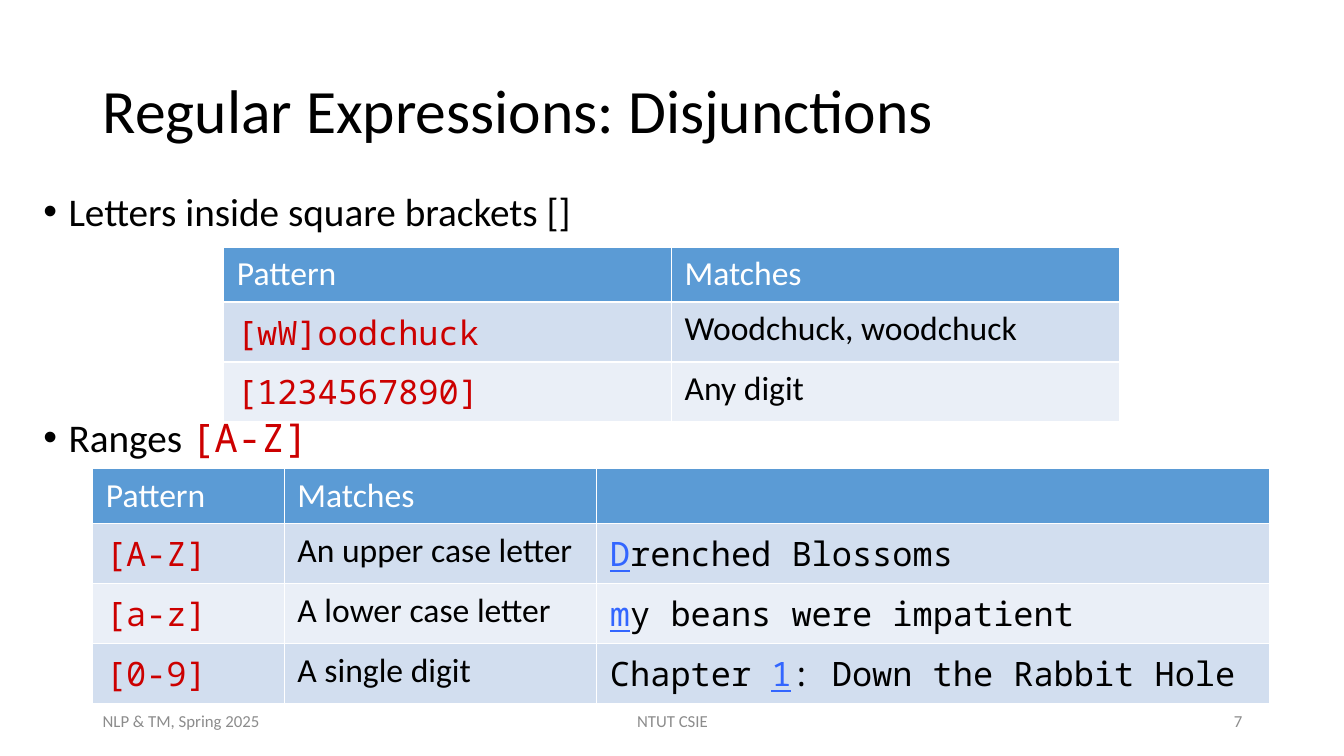
from lxml.etree import SubElement
from pptx import Presentation
from pptx.dml.color import RGBColor
from pptx.enum.text import MSO_ANCHOR, PP_ALIGN
from pptx.oxml.ns import qn
from pptx.util import Inches, Pt

SANS, MONO = "Calibri", "Noto Sans Mono"
BLACK, WHITE, RED, BLUE, GREY = "000000", "FFFFFF", "CC0000", "3366FF", "8C8C8C"
HEAD, BANDS = "5B9BD5", ("D2DEEF", "EAEFF7")


def color(value):
    return RGBColor.from_string(value)


def add_run(para, text, size, font=SANS, tone=BLACK, under=False):
    run = para.add_run()
    run.text = text
    run.font.size = Pt(size)
    run.font.name = font
    run.font.color.rgb = color(tone)
    if under:
        run.font.underline = True


def place(shape, left, top, width, height):
    shape.left, shape.top = Inches(left), Inches(top)
    shape.width, shape.height = Inches(width), Inches(height)


def add_title(slide, text):
    title = slide.shapes.title
    place(title, 0.92, 0.4, 11.5, 1.45)
    title.text_frame.vertical_anchor = MSO_ANCHOR.MIDDLE
    para = title.text_frame.paragraphs[0]
    para.alignment = PP_ALIGN.LEFT
    para.line_spacing = 0.9
    add_run(para, text, 44)


def add_list(slide, items, gap):
    body = slide.placeholders[1]
    place(body, 0.33, 1.86, 11.35, 5.34)
    frame = body.text_frame
    for index, runs in enumerate(items):
        para = frame.add_paragraph() if index else frame.paragraphs[0]
        props = para._p.get_or_add_pPr()
        props.set("marL", str(Inches(0.25)))
        props.set("indent", str(-Inches(0.25)))
        para.line_spacing = 0.9
        para.space_before = Pt(gap if index else 0)
        SubElement(props, qn("a:buFont"), typeface="Arial")
        SubElement(props, qn("a:buChar"), char="•")
        for text, *style in runs:
            add_run(para, text, 28, *style)


def add_edge(cell, side):
    line = SubElement(cell._tc.get_or_add_tcPr(), qn("a:" + side), w=str(Pt(1)))
    fill = SubElement(line, qn("a:solidFill"))
    SubElement(fill, qn("a:srgbClr"), val=WHITE)


def fill_cell(cell, runs, row):
    cell.margin_left = cell.margin_right = Inches(0.13)
    cell.margin_top = cell.margin_bottom = Inches(0.07)
    for side in ("lnL", "lnR", "lnT", "lnB"):
        add_edge(cell, side)
    cell.fill.solid()
    cell.fill.fore_color.rgb = color(BANDS[(row - 1) % 2] if row else HEAD)
    for text, *style in runs:
        add_run(cell.text_frame.paragraphs[0], text, 24, *style)


def add_grid(slide, left, top, widths, heads, rows):
    lines = [[[(text, SANS, WHITE)] if text else [] for text in heads]]
    for code, match, *sample in rows:
        lines.append([[(code, MONO, RED)], [(match,)], *sample])
    height = 0.53
    table = slide.shapes.add_table(
        len(lines), len(widths), Inches(left), Inches(top),
        Inches(sum(widths)), Inches(height * len(lines))).table
    for col, width in zip(table.columns, widths):
        col.width = Inches(width)
    for row, line in enumerate(lines):
        table.rows[row].height = Inches(height)
        for col, runs in enumerate(line):
            fill_cell(table.cell(row, col), runs, row)


def add_foot(slide, left, width, text, align):
    box = slide.shapes.add_textbox(Inches(left), Inches(6.95), Inches(width), Inches(0.4))
    frame = box.text_frame
    frame.word_wrap = True
    frame.vertical_anchor = MSO_ANCHOR.MIDDLE
    frame.paragraphs[0].alignment = align
    add_run(frame.paragraphs[0], text, 12, SANS, GREY)


def main():
    deck = Presentation()
    deck.slide_width, deck.slide_height = Inches(13.33), Inches(7.5)
    slide = deck.slides.add_slide(deck.slide_layouts[1])

    add_title(slide, "Regular Expressions: Disjunctions")
    add_list(slide, [
        [("Letters inside square brackets []",)],
        [("Ranges ",), ("[A-Z]", MONO, RED)],
    ], 131)
    add_grid(slide, 2.22, 2.45, (4.44, 4.44), ("Pattern", "Matches"), [
        ("[wW]oodchuck", "Woodchuck, woodchuck"),
        ("[1234567890]", "Any digit"),
    ])
    plain, hit = (MONO, BLACK), (MONO, BLUE, True)
    add_grid(slide, 0.92, 4.65, (1.9, 3.1, 6.67), ("Pattern", "Matches", ""), [
        ("[A-Z]", "An upper case letter", [("D", *hit), ("renched Blossoms", *plain)]),
        ("[a-z]", "A lower case letter", [("m", *hit), ("y beans were impatient", *plain)]),
        ("[0-9]", "A single digit",
         [("Chapter ", *plain), ("1", *hit), (": Down the Rabbit Hole", *plain)]),
    ])
    add_foot(slide, 0.92, 3, "NLP & TM, Spring 2025", PP_ALIGN.LEFT)
    add_foot(slide, 4.42, 4.5, "NTUT CSIE", PP_ALIGN.CENTER)
    add_foot(slide, 9.42, 3, "7", PP_ALIGN.RIGHT)
    deck.save("out.pptx")


if __name__ == "__main__":
    main()
